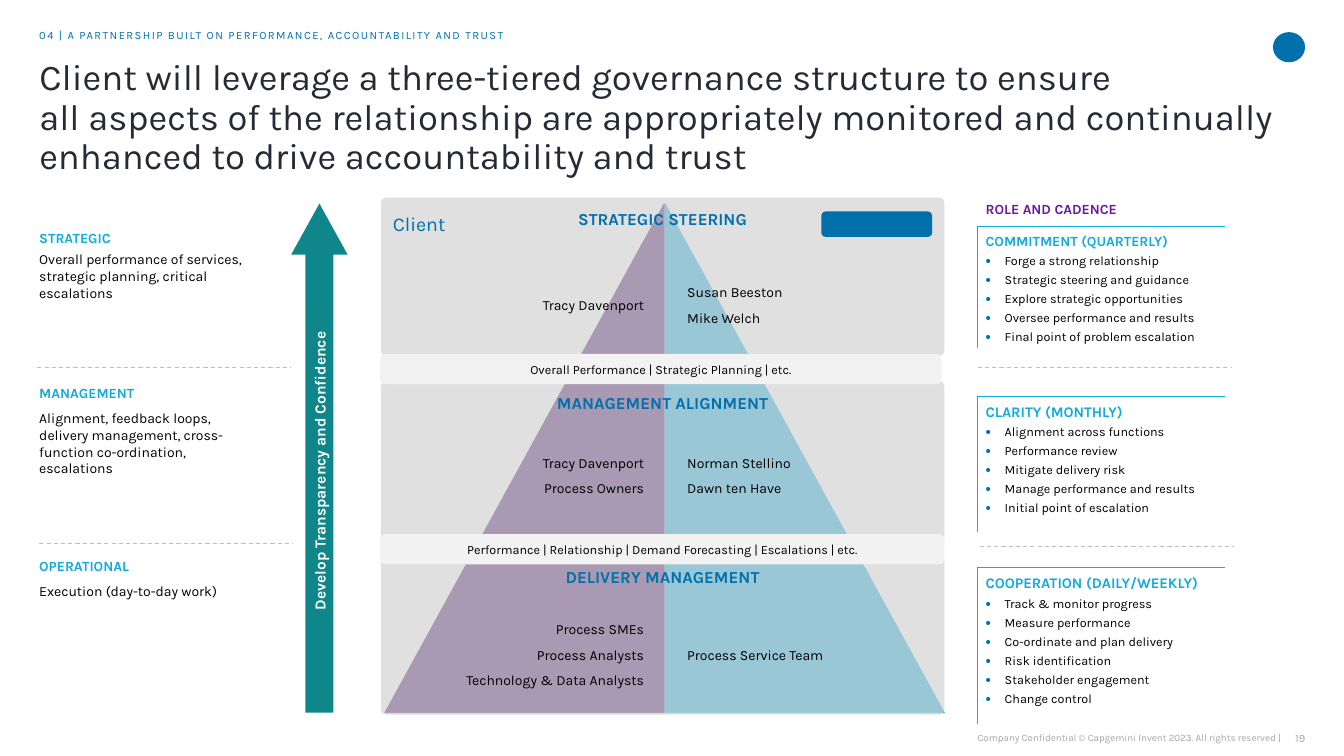
from lxml.etree import SubElement
from pptx import Presentation
from pptx.dml.color import RGBColor
from pptx.enum.dml import MSO_LINE
from pptx.enum.shapes import MSO_CONNECTOR, MSO_SHAPE
from pptx.enum.text import MSO_ANCHOR, MSO_AUTO_SIZE, PP_ALIGN
from pptx.oxml.ns import qn
from pptx.util import Cm, Pt

FONT = "Karla"
BLUE, SKY, GRAY, BLACK = "0070AD", "12ABDB", "A6A6A6", "000000"
LEFT, MID, RIGHT = PP_ALIGN.LEFT, PP_ALIGN.CENTER, PP_ALIGN.RIGHT
TOP, CENTER = MSO_ANCHOR.TOP, MSO_ANCHOR.MIDDLE

STAGES = [
    (5.79, 1.83, 0, "STRATEGIC",
     "Overall performance of services, strategic planning, critical escalations"),
    (9.68, 1.93, 3, "MANAGEMENT",
     "Alignment, feedback loops, delivery management, cross-function co-ordination, escalations"),
    (14.05, 1.07, 3, "OPERATIONAL", "Execution (day-to-day work)"),
]
TIERS = [
    (4.98, 3.99, "STRATEGIC STEERING", 6.53,
     ["Tracy Davenport"], ["Susan Beeston", "Mike Welch"]),
    (9.6, 4.11, "MANAGEMENT ALIGNMENT", 10.82,
     ["Tracy Davenport", "Process Owners"], ["Norman Stellino", "Dawn ten Have"]),
    (14, 4.01, "DELIVERY MANAGEMENT", 15.34,
     ["Process SMEs", "Process Analysts", "Technology & Data Analysts"],
     ["Process Service Team"]),
]
BANDS = [
    (13.46, 14.22, "Performance | Relationship | Demand Forecasting | Escalations | etc."),
    (8.92, 14.15, "Overall Performance | Strategic Planning | etc."),
]
ROLES = [
    (4.88, 3.07, "ROLE AND CADENCE", 10, "COMMITMENT (QUARTERLY)",
     ["Forge a strong relationship", "Strategic steering and guidance",
      "Explore strategic opportunities", "Oversee performance and results",
      "Final point of problem escalation"]),
    (9.98, 3.43, None, 10.5, "CLARITY (MONTHLY)",
     ["Alignment across functions", "Performance review", "Mitigate delivery risk",
      "Manage performance and results", "Initial point of escalation"]),
    (14.3, 3.94, None, 10.5, "COOPERATION (DAILY/WEEKLY)",
     ["Track & monitor progress", "Measure performance",
      "Co-ordinate and plan delivery", "Risk identification",
      "Stakeholder engagement", "Change control"]),
]
RULES = [(0.99, 13.69), (0.94, 9.27), (24.69, 13.77), (24.64, 9.27)]


def paint(color, tone):
    color.rgb = RGBColor.from_string(tone)


def cm(*sizes):
    return [Cm(size) for size in sizes]


def bullet(par):
    props = par._p.get_or_add_pPr()
    props.set("marL", str(Cm(0.48)))
    props.set("indent", str(-Cm(0.48)))
    SubElement(SubElement(props, qn("a:buClr")), qn("a:srgbClr"), val=BLUE)
    SubElement(props, qn("a:buSzPct"), val="120000")
    SubElement(props, qn("a:buFont"), typeface="Arial")
    SubElement(props, qn("a:buChar"), char="•")


def write(frame, text, size, tone, bold=False, align=LEFT, before=0, after=0, dot=False):
    par = frame.paragraphs[-1]
    if par.text:
        par = frame.add_paragraph()
        par.space_before = Pt(before)
    par.text = text
    par.alignment = align
    par.space_after = Pt(after)
    if dot:
        bullet(par)
    font = par.font
    font.name, font.size, font.bold = FONT, Pt(size), bold
    paint(font.color, tone)
    return par


def setup(frame, side=0, edge=0, anchor=TOP):
    frame.word_wrap = True
    frame.auto_size = MSO_AUTO_SIZE.NONE
    frame.margin_left = frame.margin_right = Cm(side)
    frame.margin_top = frame.margin_bottom = Cm(edge)
    frame.vertical_anchor = anchor
    return frame


def label(slide, place, side=0, edge=0, anchor=TOP):
    return setup(slide.shapes.add_textbox(*cm(*place)).text_frame, side, edge, anchor)


def shape(slide, kind, place, tone, alpha=None, edge=False):
    item = slide.shapes.add_shape(kind, *cm(*place))
    item.shadow.inherit = False
    item.fill.solid()
    paint(item.fill.fore_color, tone)
    if alpha:
        color = item._element.spPr.find(qn("a:solidFill"))[0]
        SubElement(color, qn("a:alpha"), val=str(alpha * 1000))
    if edge:
        paint(item.line.color, tone)
        item.line.width = Pt(0.5)
    else:
        item.line.fill.background()
    return item


def rule(slide, left, top):
    line = slide.shapes.add_connector(
        MSO_CONNECTOR.STRAIGHT, *cm(left, top, left + 6.4, top))
    paint(line.line.color, "BFBFBF")
    line.line.width = Pt(0.75)
    line.line.dash_style = MSO_LINE.DASH
    SubElement(line._element.spPr, qn("a:effectLst"))


def style(cell, sides, base):
    props = cell._tc.get_or_add_tcPr()
    for side in "LRTB":
        line = SubElement(props, qn("a:ln" + side), w=str(Pt(0.5)))
        if side in sides:
            SubElement(SubElement(line, qn("a:solidFill")), qn("a:srgbClr"), val=SKY)
        else:
            SubElement(line, qn("a:noFill"))
    cell.fill.background()
    cell.margin_left, cell.margin_top, cell.margin_right, cell.margin_bottom = cm(
        0.2, 0.2, 0, base)


def role(slide, top, height, head, size, name, tasks):
    sizes = [0.81, height] if head else [height]
    table = slide.shapes.add_table(
        len(sizes), 1, *cm(24.64, top, 6.22, sum(sizes))).table
    table.first_row = table.horz_banding = False
    for row, tall in zip(table.rows, sizes):
        row.height = Cm(tall)
    if head:
        cell = table.cell(0, 0)
        style(cell, "B", 0.2)
        write(cell.text_frame, head, 10, "6D199B", True)
    cell = table.cell(len(sizes) - 1, 0)
    style(cell, "LT", 0)
    write(cell.text_frame, name, size, SKY, True)
    for task in tasks:
        write(cell.text_frame, task, 9, BLACK, before=3, dot=True)


def names(slide, place, people, align):
    frame = label(slide, place, 0.23, 0.13, CENTER)
    for person in people:
        write(frame, person, 10, BLACK, align=align, before=3, after=3)


def header(slide):
    title = slide.shapes.title
    title.left, title.top, title.width, title.height = cm(0.99, 1.5, 32.41, 0.99)
    par = write(
        setup(title.text_frame),
        "Client will leverage a three-tiered governance structure to ensure\v"
        "all aspects of the relationship are appropriately monitored and continually "
        "enhanced to drive accountability and trust", 26, "272936")
    par.line_spacing = 0.9
    par = write(label(slide, (0.99, 0.71, 29.49, 0.51)),
                "04 | A PARTNERSHIP BUILT ON PERFORMANCE, ACCOUNTABILITY AND TRUST", 8, BLUE)
    par.font._rPr.set("spc", "100")
    shape(slide, MSO_SHAPE.OVAL, (32.08, 0.81, 0.81, 0.76), BLUE)


def footer(slide):
    write(label(slide, (32.26, 18.29, 0.64, 0.61), anchor=CENTER),
          "19", 8, GRAY, align=RIGHT)
    write(label(slide, (24.23, 18.29, 8.05, 0.61), anchor=CENTER),
          "Company Confidential © Capgemini Invent 2023. All rights reserved |",
          7, GRAY, align=RIGHT)


def arrow(slide):
    item = shape(slide, MSO_SHAPE.UP_ARROW, (7.34, 5.13, 1.42, 12.83), "0F878A")
    item.adjustments[0], item.adjustments[1] = 0.5, 0.905
    frame = setup(item.text_frame, anchor=CENTER)
    frame._txBody.bodyPr.set("vert", "vert270")
    write(frame, "Develop Transparency and Confidence", 11, "FFFFFF", True, MID)


def pyramid(slide):
    half = shape(slide, MSO_SHAPE.RIGHT_TRIANGLE, (9.7, 5.13, 7.04, 12.83), "461063", edge=True)
    half._element.spPr.xfrm.set("flipH", "1")
    shape(slide, MSO_SHAPE.RIGHT_TRIANGLE, (16.76, 5.13, 7.04, 12.83), SKY, edge=True)
    for top, height, name, line, client, partner in TIERS:
        tier = shape(slide, MSO_SHAPE.ROUNDED_RECTANGLE, (9.6, top, 14.2, height), "D4D4D4", 70)
        tier.adjustments[0] = 0.034
        write(setup(tier.text_frame, 0.48, 0.25), name, 12, BLUE, True, MID)
        names(slide, (11.1, line, 5.36, 2.31), client, RIGHT)
        names(slide, (17.09, line, 4.8, 2.31), partner, LEFT)
    for top, width, text in BANDS:
        band = shape(slide, MSO_SHAPE.ROUNDED_RECTANGLE, (9.58, top, width, 0.76), "F2F2F2")
        write(setup(band.text_frame, 0.25, 0.13, CENTER), text, 9, BLACK, align=MID)
    write(label(slide, (9.65, 5.21, 2.44, 0.86), 0.25, 0.13), "Client", 14, BLUE)
    shape(slide, MSO_SHAPE.ROUNDED_RECTANGLE, (20.7, 5.33, 2.79, 0.64), BLUE)


def main():
    deck = Presentation()
    deck.slide_width, deck.slide_height = cm(33.87, 19.05)
    slide = deck.slides.add_slide(deck.slide_layouts[5])
    header(slide)
    footer(slide)
    for spot in RULES:
        rule(slide, *spot)
    for top, height, gap, name, text in STAGES:
        frame = label(slide, (0.99, top, 5.59, height))
        write(frame, name, 10, SKY, True, after=gap)
        write(frame, text, 10, BLACK, before=3, after=3)
    arrow(slide)
    pyramid(slide)
    for item in ROLES:
        role(slide, *item)
    deck.save("out.pptx")


if __name__ == "__main__":
    main()
